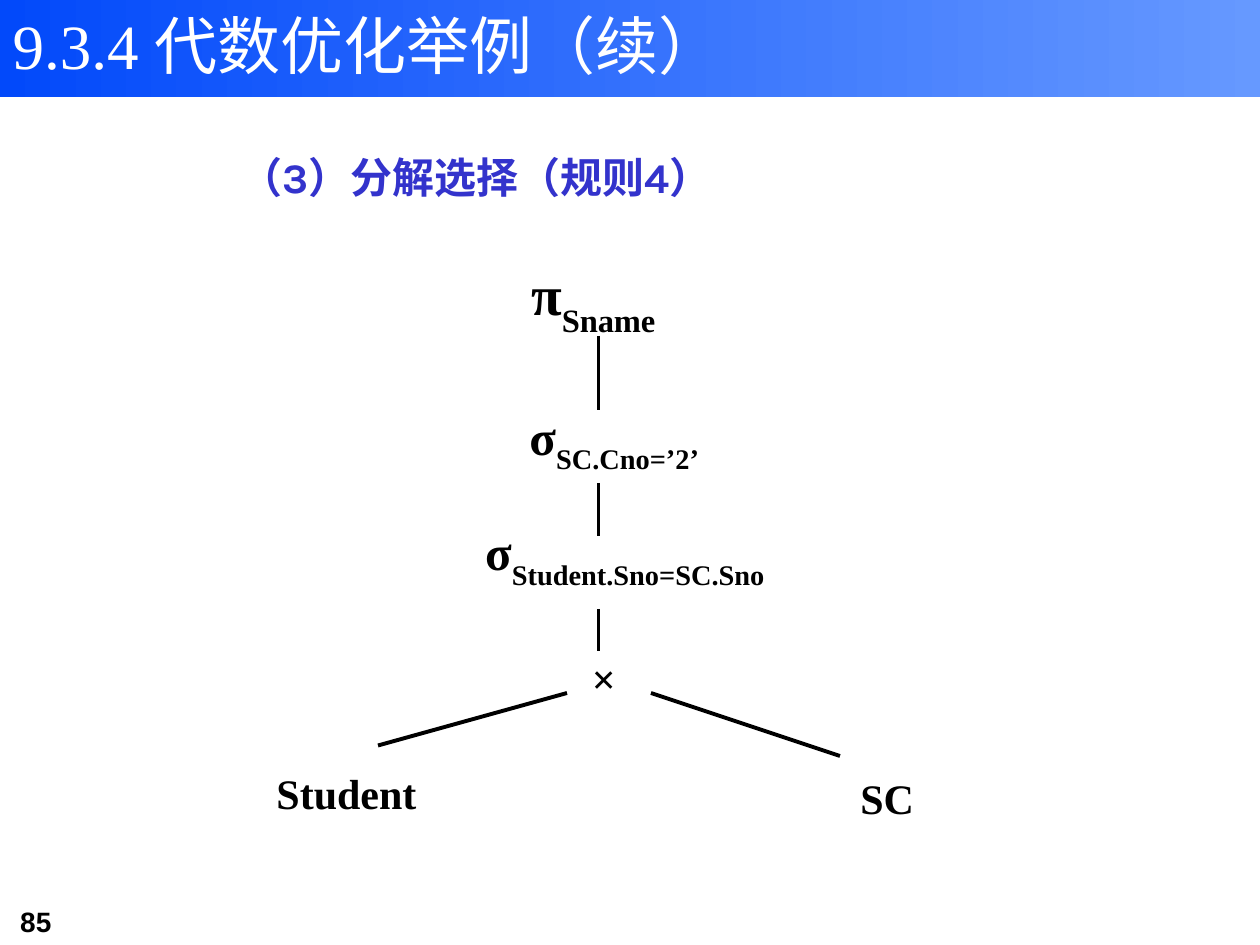
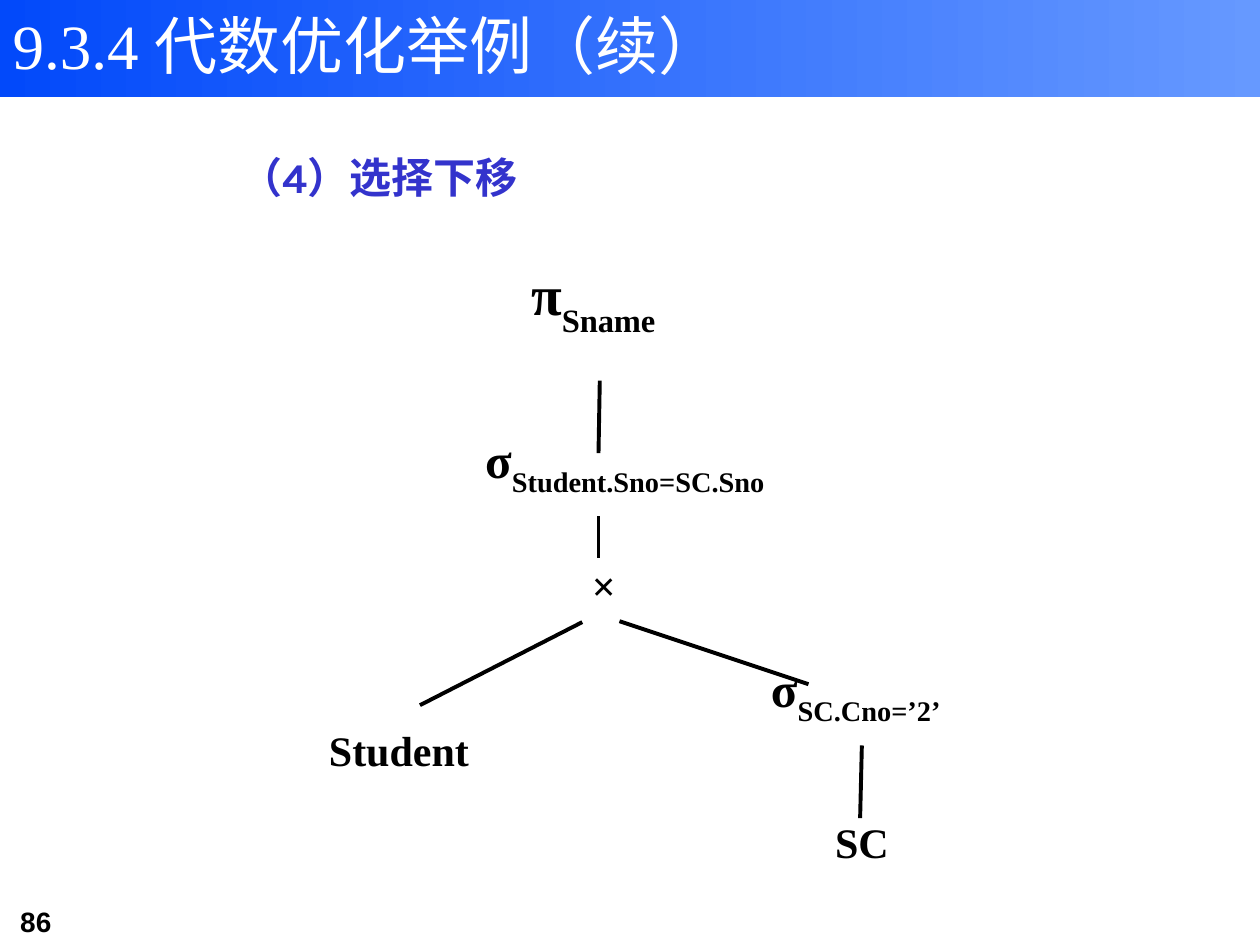
from pptx import Presentation
from pptx.dml.color import RGBColor
from pptx.enum.shapes import MSO_CONNECTOR, MSO_SHAPE
from pptx.enum.text import MSO_ANCHOR, MSO_AUTO_SIZE, PP_ALIGN
from pptx.oxml.ns import qn
from pptx.util import Pt
from lxml.etree import SubElement

BLACK = RGBColor(0x00, 0x00, 0x00)
WHITE = RGBColor(0xFF, 0xFF, 0xFF)
STEP_BLUE = RGBColor(0x33, 0x33, 0xCC)
BAND_COLOURS = RGBColor(0x02, 0x49, 0xFA), RGBColor(0x66, 0x99, 0xFF)
SERIF = "Times New Roman"

TITLE = "9.3.4 代数优化举例（续）"

# node: symbol, subscript, size, box width, box height
NODES = {
    "project": ("π", "Sname", 32, 108, 54),
    "select": ("σ", "SC.Cno=’2’", 28, 168, 36),
    "join": ("σ", "Student.Sno=SC.Sno", 28, 204, 48),
    "product": ("× ", "", 24, 72, 42),
    "student": ("Student", "", 24, 102, 42),
    "sc": ("SC", "", 24, 90, 48),
}

SLIDES = [
    {
        "number": "85",
        "step": "（3）分解选择（规则4）",
        "nodes": {"project": (288, 144), "select": (270, 234), "join": (258, 294),
                  "product": (312, 366), "student": (147, 432), "sc": (462, 432)},
        "edges": [(342, 192, 342, 234), (342, 276, 342, 306), (342, 348, 342, 372),
                  (324, 396, 216, 426), (372, 396, 480, 432)],
    },
    {
        "number": "86",
        "step": "（4）选择下移",
        "nodes": {"project": (288, 144), "join": (258, 241), "product": (312, 313),
                  "student": (177, 407.5), "select": (408, 378), "sc": (447.5, 457)},
        "edges": [(342.75, 217.5, 342, 259), (342, 295, 342, 319),
                  (332.75, 355.5, 240, 403), (354, 355, 462, 391),
                  (492.5, 426, 491.5, 467.5)],
    },
]


def format_run(r, size, font, colour, bold=True):
    r.font.size = Pt(size)
    r.font.name = font
    r.font.color.rgb = colour
    r.font.bold = bold


def add_band(prs, s):
    band = s.shapes.add_shape(MSO_SHAPE.RECTANGLE, 0, 0, prs.slide_width, Pt(55.5))
    band.shadow.inherit = False
    band.line.fill.background()
    band.fill.gradient()
    band.fill.gradient_angle = 0
    for stop, position, colour in zip(band.fill.gradient_stops, (0, 1), BAND_COLOURS):
        stop.position = position
        stop.color.rgb = colour
    prs.slide_master.shapes.element.insert(2, band.element)


def add_title(s):
    title = s.shapes.title
    title.left, title.top, title.width, title.height = 0, 0, Pt(499), Pt(94.5)
    tf = title.text_frame
    tf.text = TITLE
    tf.auto_size = MSO_AUTO_SIZE.NONE
    tf.vertical_anchor = MSO_ANCHOR.TOP
    p = tf.paragraphs[0]
    p.alignment = PP_ALIGN.LEFT
    format_run(p.runs[0], 36, SERIF, WHITE, bold=False)


def add_label(s, text, box, size, font, colour):
    tf = s.shapes.add_textbox(*map(Pt, box)).text_frame
    tf.word_wrap = True
    tf.text = text
    format_run(tf.paragraphs[0].runs[0], size, font, colour)


def add_node(s, name, left, top):
    symbol, subscript, size, width, height = NODES[name]
    tf = s.shapes.add_textbox(Pt(left), Pt(top), Pt(width), Pt(height)).text_frame
    tf.word_wrap = False
    tf.vertical_anchor = MSO_ANCHOR.MIDDLE
    tf.text = symbol
    p = tf.paragraphs[0]
    p.alignment = PP_ALIGN.CENTER
    format_run(p.runs[0], size, SERIF, BLACK)
    if subscript:
        r = p.add_run()
        r.text = subscript
        format_run(r, size, SERIF, BLACK)
        r._r.get_or_add_rPr().set("baseline", "-30000")
        r = p.add_run()
        r.text = " "
        format_run(r, 24, SERIF, BLACK)


def add_edge(s, ends):
    edge = s.shapes.add_connector(MSO_CONNECTOR.STRAIGHT, *map(Pt, ends))
    edge.line.color.rgb = BLACK
    edge.line.width = Pt(2.25)
    SubElement(edge.element.spPr, qn("a:effectLst"))


def main():
    prs = Presentation()
    prs.slide_width, prs.slide_height = Pt(720), Pt(540)
    for i, content in enumerate(SLIDES):
        s = prs.slides.add_slide(prs.slide_layouts[5])
        if i == 0:
            add_band(prs, s)
        add_title(s)
        add_label(s, content["step"], (130.5, 83, 427.5, 36), 24, "Karla", STEP_BLUE)
        add_label(s, content["number"], (4.5, 513.5, 88, 26.5), 16, "Arial", BLACK)
        for name, (left, top) in content["nodes"].items():
            add_node(s, name, left, top)
        for ends in content["edges"]:
            add_edge(s, ends)
    prs.save("out.pptx")


if __name__ == "__main__":
    main()
